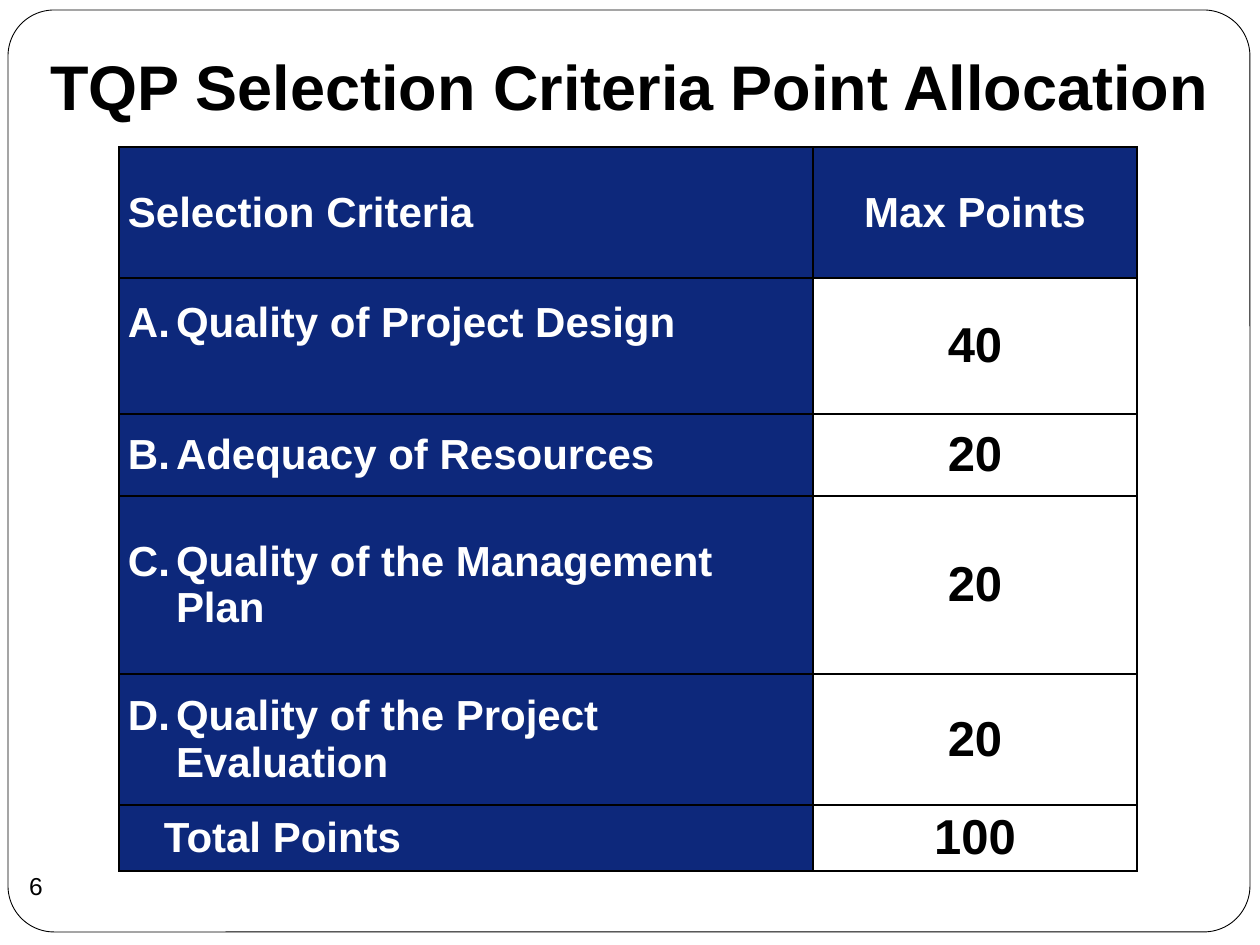
from lxml.etree import SubElement
from pptx import Presentation
from pptx.dml.color import RGBColor
from pptx.enum.shapes import MSO_SHAPE
from pptx.enum.text import MSO_ANCHOR, PP_ALIGN
from pptx.oxml.ns import qn
from pptx.util import Emu, Pt

NAVY, WHITE, BLACK = "0D287B", "FFFFFF", "000000"
ROWS = [
    ("Selection Criteria", "Max Points", 131),
    ("Quality of Project Design", "40", 136),
    ("Adequacy of Resources", "20", 82),
    ("Quality of the Management Plan", "20", 178),
    ("Quality of the Project Evaluation", "20", 131),
    ("Total Points", "100", 66),
]
COLS = (694, 324)


def px(n):
    """Turn px into EMU."""
    return Emu(round(n * 914400 / 126))


def paint(part, hue):
    """Give a fill or a font a solid colour."""
    if hasattr(part, "solid"):
        part.solid()
        part.fore_color.rgb = RGBColor.from_string(hue)
    else:
        part.color.rgb = RGBColor.from_string(hue)


def write(frame, text, size=24, hue=BLACK, bold=True, align=PP_ALIGN.LEFT,
          indent=0, number=0):
    """Put formatted text in a frame, with an optional list letter."""
    para = frame.paragraphs[0]
    para.alignment = align
    run = para.add_run()
    run.text = text
    run.font.name, run.font.size, run.font.bold = "Arial", Pt(size), bold
    paint(run.font, hue)
    props = para._p.get_or_add_pPr()
    props.set("marL", str(px(indent)))
    props.set("indent", str(-px(indent) if number else 0))
    if number:
        SubElement(props, qn("a:buFont"), typeface="+mj-lt")
        SubElement(props, qn("a:buAutoNum"), type="alphaUcPeriod",
                   startAt=str(number))


def inset(frame, left, top, right, bottom):
    """Set the four margins of a frame or cell."""
    frame.margin_left, frame.margin_top = px(left), px(top)
    frame.margin_right, frame.margin_bottom = px(right), px(bottom)


def border(cell):
    """Draw thin black lines round a cell."""
    props = cell._tc.get_or_add_tcPr()
    for at, side in enumerate(("lnL", "lnR", "lnT", "lnB")):
        line = SubElement(props, qn("a:" + side), w=str(Pt(1)))
        fill = SubElement(line, qn("a:solidFill"))
        SubElement(fill, qn("a:srgbClr"), val=BLACK)
        props.remove(line)
        props.insert(at, line)


def add_frame(slide, x, y, w, h):
    """Draw the rounded outline of the slide."""
    card = slide.shapes.add_shape(MSO_SHAPE.ROUNDED_RECTANGLE,
                                  px(x), px(y), px(w), px(h))
    card.shadow.inherit = False
    card.adjustments[0] = 0.05
    paint(card.fill, WHITE)
    paint(card.line.fill, BLACK)
    card.line.width = Pt(0.5)


def add_title(slide, x, y, w, h):
    """Place the centred title."""
    frame = slide.shapes.add_textbox(px(x), px(y), px(w), px(h)).text_frame
    frame.word_wrap = True
    frame.vertical_anchor = MSO_ANCHOR.MIDDLE
    inset(frame, 13, 6, 13, 13)
    write(frame, "TQP Selection Criteria Point Allocation", size=36,
          align=PP_ALIGN.CENTER)


def add_points(slide, x, y):
    """Build the table of criteria and points."""
    size = sum(COLS), sum(row[2] for row in ROWS)
    table = slide.shapes.add_table(len(ROWS), 2, px(x), px(y),
                                   px(size[0]), px(size[1])).table
    for col, width in zip(table.columns, COLS):
        col.width = px(width)
    last = len(ROWS) - 1
    for i, (name, points, high) in enumerate(ROWS):
        table.rows[i].height = px(high)
        left, right = table.cell(i, 0), table.cell(i, 1)
        for cell in (left, right):
            cell.vertical_anchor = MSO_ANCHOR.MIDDLE
            inset(cell, 9, 0, 9, 0)
            paint(cell.fill, NAVY if cell is left or i == 0 else WHITE)
            border(cell)
        listed = 0 < i < last
        write(left.text_frame, name, hue=WHITE, number=i if listed else 0,
              indent=48 if listed else 36 if i == last else 0)
        write(right.text_frame, points, size=28 if i else 24,
              hue=BLACK if i else WHITE, align=PP_ALIGN.CENTER)
    table.cell(1, 0).margin_bottom = px(46)


def add_number(slide, x, y, side):
    """Place the slide number in a clear circle."""
    disc = slide.shapes.add_shape(MSO_SHAPE.OVAL,
                                  px(x), px(y), px(side), px(side))
    disc.shadow.inherit = False
    disc.fill.background()
    disc.line.fill.background()
    frame = disc.text_frame
    frame.vertical_anchor = MSO_ANCHOR.TOP
    inset(frame, 0, 6, 0, 6)
    write(frame, "6", size=14, bold=False)


def main():
    """Build and save the slide."""
    deck = Presentation()
    deck.slide_width, deck.slide_height = px(1260), px(945)
    slide = deck.slides.add_slide(deck.slide_layouts[6])
    add_frame(slide, 8, 10, 1242, 922)
    add_title(slide, 31, 10, 1197, 158)
    add_points(slide, 119, 147)
    add_number(slide, 20, 856, 63)
    deck.save("out.pptx")


if __name__ == "__main__":
    main()
